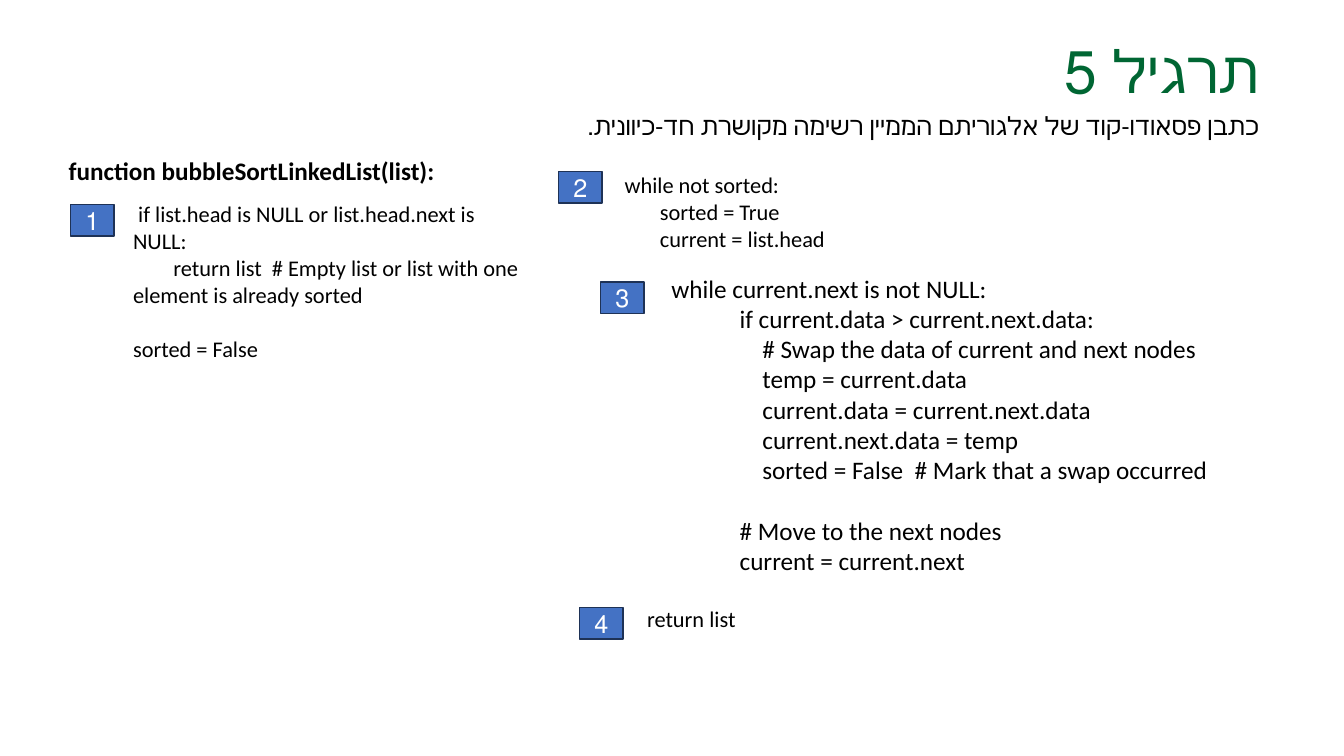
from pptx import Presentation
from pptx.dml.color import RGBColor
from pptx.enum.shapes import MSO_SHAPE
from pptx.enum.text import MSO_ANCHOR, PP_ALIGN
from pptx.util import Pt

GREEN = RGBColor(0x00, 0x66, 0x33)
BLACK = RGBColor(0x00, 0x00, 0x00)
WHITE = RGBColor(0xFF, 0xFF, 0xFF)
BLUE = RGBColor(0x44, 0x72, 0xC4)
NAVY = RGBColor(0x1E, 0x32, 0x56)


def write_lines(shape, lines, size, color=BLACK, align=PP_ALIGN.LEFT,
                font="Calibri", bold=False, rtl=False):
    """Fill the shape with one paragraph per line; None leaves a line-high gap."""
    frame = shape.text_frame
    frame.word_wrap = True
    paragraph = frame.paragraphs[0]
    gap = 0
    for index, line in enumerate(lines):
        if line is None:
            gap = size * 1.22
            continue
        if index:
            paragraph = frame.add_paragraph()
        paragraph.alignment = align
        if gap:
            paragraph.space_before = Pt(gap)
            gap = 0
        if rtl:
            paragraph._p.get_or_add_pPr().set("rtl", "1")
        run = paragraph.add_run()
        run.text = line
        run.font.name = font
        run.font.size = Pt(size)
        run.font.bold = bold
        run.font.color.rgb = color


def add_text(left, top, width, height, lines, size, **style):
    box = slide.shapes.add_textbox(Pt(left), Pt(top), Pt(width), Pt(height))
    write_lines(box, lines, size, **style)


presentation = Presentation()
presentation.slide_width = Pt(960)
presentation.slide_height = Pt(540)
slide = presentation.slides.add_slide(presentation.slide_layouts[6])

# Heading and task
add_text(258.5, 21, 648, 65, ["תרגיל 5"], 42, color=GREEN,
         font="Times New Roman", align=PP_ALIGN.RIGHT, rtl=True)
add_text(248.5, 75, 658, 29,
         ["כתבן פסאודו-קוד של אלגוריתם הממיין רשימה מקושרת חד-כיוונית."],
         18, align=PP_ALIGN.RIGHT, rtl=True)

# Pseudocode
add_text(42, 107.5, 309, 29, ["function bubbleSortLinkedList(list):"], 18, bold=True)
add_text(88, 139.5, 300, 124, [
    " if list.head is NULL or list.head.next is NULL:",
    "        return list  # Empty list or list with one element is already sorted",
    None,
    "sorted = False",
], 16)
add_text(435.5, 119, 468, 65.5, [
    " while not sorted:",
    "        sorted = True",
    "        current = list.head",
], 16)
add_text(472.5, 191.5, 480, 225.5, [
    "while current.next is not NULL:",
    "            if current.data > current.next.data:",
    "                # Swap the data of current and next nodes",
    "                temp = current.data",
    "                current.data = current.next.data",
    "                current.next.data = temp",
    "                sorted = False  # Mark that a swap occurred",
    None,
    "            # Move to the next nodes",
    "            current = current.next",
], 18, align=PP_ALIGN.JUSTIFY)
add_text(451.5, 429, 237, 26.5, [" return list"], 16)

# Numbered step badges
badge_positions = [(50.5, 146), (399, 122.5), (429, 201.5), (414, 434)]
for number, (left, top) in enumerate(badge_positions, start=1):
    badge = slide.shapes.add_shape(MSO_SHAPE.RECTANGLE, Pt(left), Pt(top), Pt(31), Pt(22.5))
    badge.shadow.inherit = False
    badge.fill.solid()
    badge.fill.fore_color.rgb = BLUE
    badge.line.color.rgb = NAVY
    badge.line.width = Pt(1)
    badge.text_frame.vertical_anchor = MSO_ANCHOR.MIDDLE
    write_lines(badge, [str(number)], 18, color=WHITE, align=PP_ALIGN.CENTER, rtl=True)

presentation.save("out.pptx")
